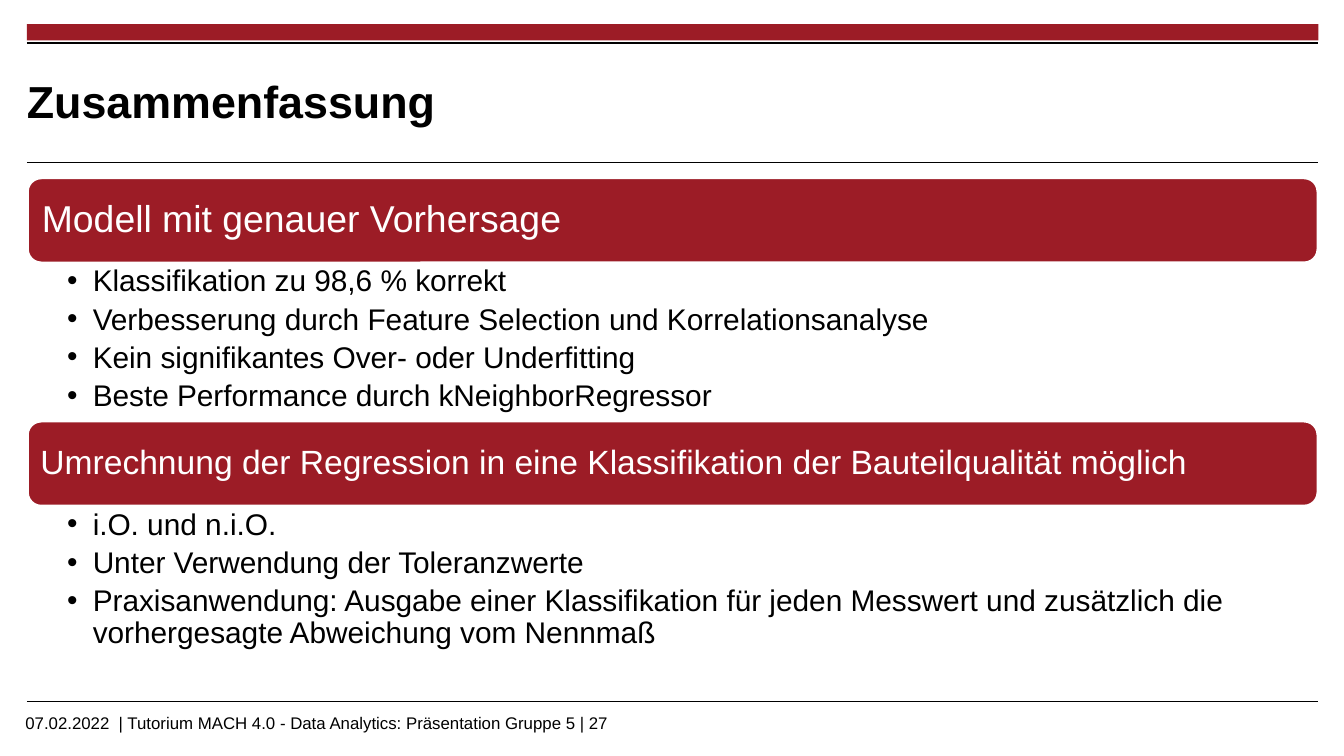
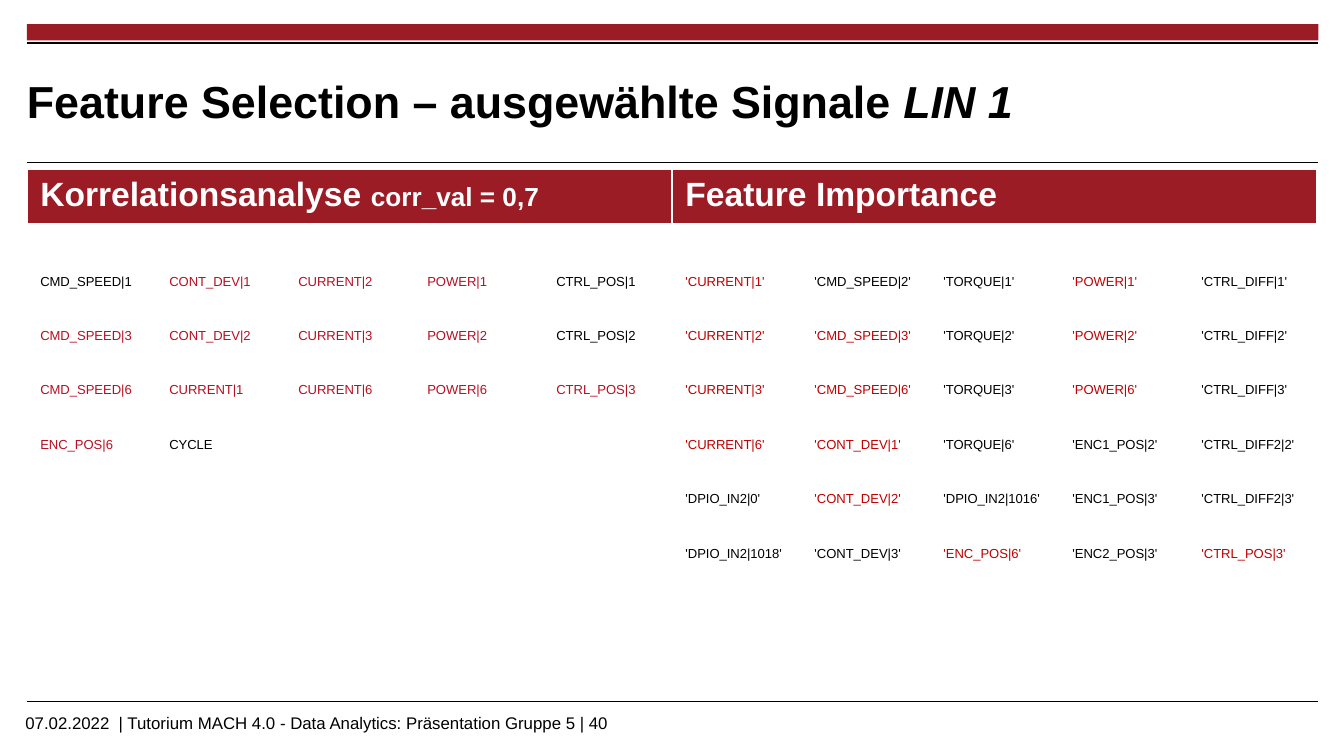
from lxml import etree
from pptx import Presentation
from pptx.dml.color import RGBColor
from pptx.enum.shapes import MSO_CONNECTOR, MSO_SHAPE
from pptx.enum.text import MSO_ANCHOR, MSO_AUTO_SIZE, PP_ALIGN
from pptx.oxml.ns import qn
from pptx.util import Inches, Pt

STRAIGHT = MSO_CONNECTOR.STRAIGHT
RECT, ROUNDED = MSO_SHAPE.RECTANGLE, MSO_SHAPE.ROUNDED_RECTANGLE
MIDDLE, TOP = MSO_ANCHOR.MIDDLE, MSO_ANCHOR.TOP
LEFT_ALIGN = PP_ALIGN.LEFT
NO_AUTOFIT = MSO_AUTO_SIZE.NONE

# Content
FOOTER = "07.02.2022  | Tutorium MACH 4.0 - Data Analytics: Präsentation Gruppe 5 | {}"

# heading, heading size, heading inset, points
SUMMARY = [
    ("Modell mit genauer Vorhersage", 20, 0.08, [
        "Klassifikation zu 98,6 % korrekt",
        "Verbesserung durch Feature Selection und Korrelationsanalyse",
        "Kein signifikantes Over- oder Underfitting",
        "Beste Performance durch kNeighborRegressor",
    ]),
    ("Umrechnung der Regression in eine Klassifikation der Bauteilqualität möglich", 18, 0.07, [
        "i.O. und n.i.O.",
        "Unter Verwendung der Toleranzwerte",
        "Praxisanwendung: Ausgabe einer Klassifikation für jeden Messwert und "
        "zusätzlich die vorhergesagte Abweichung vom Nennmaß",
    ]),
]

# header parts as (text, size)
METHODS = [
    [("Korrelationsanalyse ", 18), ("corr_val = 0,7", 14)],
    [("Feature Importance", 18)],
]
CORRELATED = [
    ["CMD_SPEED|1", "CONT_DEV|1", "CURRENT|2", "POWER|1", "CTRL_POS|1"],
    ["CMD_SPEED|3", "CONT_DEV|2", "CURRENT|3", "POWER|2", "CTRL_POS|2"],
    ["CMD_SPEED|6", "CURRENT|1", "CURRENT|6", "POWER|6", "CTRL_POS|3"],
    ["ENC_POS|6", "CYCLE"],
]
IMPORTANT = [
    ["CURRENT|1", "CMD_SPEED|2", "TORQUE|1", "POWER|1", "CTRL_DIFF|1"],
    ["CURRENT|2", "CMD_SPEED|3", "TORQUE|2", "POWER|2", "CTRL_DIFF|2"],
    ["CURRENT|3", "CMD_SPEED|6", "TORQUE|3", "POWER|6", "CTRL_DIFF|3"],
    ["CURRENT|6", "CONT_DEV|1", "TORQUE|6", "ENC1_POS|2", "CTRL_DIFF2|2"],
    ["DPIO_IN2|0", "CONT_DEV|2", "DPIO_IN2|1016", "ENC1_POS|3", "CTRL_DIFF2|3"],
    ["DPIO_IN2|1018", "CONT_DEV|3", "ENC_POS|6", "ENC2_POS|3", "CTRL_POS|3"],
]

# Shared look
FONT = "Arial"
BLACK, WHITE, BAND = "000000", "FFFFFF", "9C1C26"
LEFT, WIDTH = 0.2, 9.61
RULES = [(0.32, 1.2), (1.21, 0.6), (5.22, 0.6)]  # y, line width
HEADING_H, POINTS_H = 0.64, 1.18
SUMMARY_TOP, SUMMARY_STEP = 1.32, 1.81
METHOD_W, SIGNAL_ROWS, SIGNAL_COLS = 4.8, 6, 5


def color(hex_value):
    return RGBColor.from_string(hex_value)


def set_font(font, size, hex_value=BLACK, bold=False):
    font.name, font.size, font.bold = FONT, Pt(size), bold
    font.color.rgb = color(hex_value)


def set_frame(frame, insets, anchor):
    frame.word_wrap = True
    frame.auto_size = NO_AUTOFIT
    frame.vertical_anchor = anchor
    (frame.margin_left, frame.margin_top,
     frame.margin_right, frame.margin_bottom) = map(Inches, insets)


def place(shape, x, y, w, h):
    shape.left, shape.top, shape.width, shape.height = map(Inches, (x, y, w, h))


def add_band(slide, kind, y, h):
    band = slide.shapes.add_shape(kind, *map(Inches, (LEFT, y, WIDTH, h)))
    band.shadow.inherit = False
    band.fill.solid()
    band.fill.fore_color.rgb = color(BAND)
    band.line.fill.background()
    return band


def add_slide(prs, layout, title_parts, number):
    """Slide with band, rules, title and footer; title parts are (text, italic)."""
    slide = prs.slides.add_slide(prs.slide_layouts[layout])
    add_band(slide, RECT, 0.18, 0.12)
    for y, weight in RULES:
        rule = slide.shapes.add_connector(
            STRAIGHT, *map(Inches, (LEFT, y, LEFT + WIDTH, y)))
        rule.line.color.rgb = color(BLACK)
        rule.line.width = Pt(weight)
        etree.SubElement(rule.element.spPr, qn("a:effectLst"))

    title = slide.shapes.title
    place(title, LEFT, 0.4, 7.46, 0.69)
    set_frame(title.text_frame, (0, 0, 0, 0), MIDDLE)
    heading = title.text_frame.paragraphs[0]
    heading.alignment = LEFT_ALIGN
    set_font(heading.font, 24, bold=True)
    for text, italic in title_parts:
        run = heading.add_run()
        run.text = text
        if italic:
            run.font.italic = True

    footer = slide.shapes.add_textbox(*map(Inches, (0.09, 5.25, 7.95, 0.19))).text_frame
    set_frame(footer, (0.1, 0.05, 0.1, 0.05), TOP)
    footer.text = FOOTER.format(number)
    set_font(footer.paragraphs[0].font, 9)
    return slide


def add_heading(slide, y, text, size, inset):
    heading = add_band(slide, ROUNDED, y, HEADING_H)
    heading.line.color.rgb = color(WHITE)
    heading.line.width = Pt(2)
    set_frame(heading.text_frame, [inset] * 4, MIDDLE)
    heading.text_frame.text = text
    paragraph = heading.text_frame.paragraphs[0]
    paragraph.alignment = LEFT_ALIGN
    paragraph.line_spacing = 0.9
    set_font(paragraph.font, size, WHITE)


def fill_points(body, y, points):
    place(body, LEFT, y, WIDTH, POINTS_H)
    set_frame(body.text_frame, (0.3, 0.02, 0.12, 0.02), TOP)
    body.text_frame.text = "\n".join(points)
    for paragraph in body.text_frame.paragraphs:
        paragraph.line_spacing = 0.9
        paragraph.space_before, paragraph.space_after = Pt(0), Pt(3.2)
        set_font(paragraph.font, 16)
        properties = paragraph._p.get_or_add_pPr()
        properties.set("marL", str(Inches(0.19)))
        properties.set("indent", str(-Inches(0.19)))


def style_cell(cell, fill, bottom=1):
    """White cell borders in points, then the fill."""
    properties = cell._tc.get_or_add_tcPr()
    for side, weight in (("L", 1), ("R", 1), ("T", 1), ("B", bottom)):
        border = etree.SubElement(properties, qn(f"a:ln{side}"), w=str(Pt(weight)))
        solid = etree.SubElement(border, qn("a:solidFill"))
        etree.SubElement(solid, qn("a:srgbClr"), val=WHITE)
    cell.fill.solid()
    cell.fill.fore_color.rgb = color(fill)


def add_table(slide, x, y, col_widths, row_heights):
    table = slide.shapes.add_table(
        len(row_heights), len(col_widths),
        *map(Inches, (x, y, sum(col_widths), sum(row_heights)))).table
    table.first_row = table.horz_banding = False
    for column, width in zip(table.columns, col_widths):
        column.width = Inches(width)
    for row, height in zip(table.rows, row_heights):
        row.height = Inches(height)
    return table


def add_cell_text(cell, text, size, hex_value, bold=False):
    run = cell.text_frame.paragraphs[0].add_run()
    run.text = text
    set_font(run.font, size, hex_value, bold)


def add_signals(slide, x, signals, shared, highlight, quote=""):
    """Grid of signals; those chosen by both methods are highlighted."""
    table = add_table(slide, x, 1.99, [METHOD_W / SIGNAL_COLS] * SIGNAL_COLS,
                      [2.43 / SIGNAL_ROWS] * SIGNAL_ROWS)
    for r in range(SIGNAL_ROWS):
        for c in range(SIGNAL_COLS):
            style_cell(table.cell(r, c), WHITE, bottom=1 if r else 3)
    for r, names in enumerate(signals):
        for c, name in enumerate(names):
            add_cell_text(table.cell(r, c), f"{quote}{name}{quote}", 7,
                          highlight if name in shared else BLACK)


def build_summary(prs):
    slide = add_slide(prs, 3, [("Zusammenfassung", False)], 27)
    bodies = list(slide.placeholders)[1:]
    for i, (heading, size, inset, points) in enumerate(SUMMARY):
        y = SUMMARY_TOP + i * SUMMARY_STEP
        add_heading(slide, y, heading, size, inset)
        fill_points(bodies[i], y + HEADING_H, points)


def build_selection(prs):
    slide = add_slide(prs, 5, [("Feature Selection – ausgewählte Signale ", False),
                               ("LIN 1", True)], 40)
    methods = add_table(slide, LEFT, 1.26, [METHOD_W] * 2, [0.42, 3.46])
    for c, parts in enumerate(METHODS):
        style_cell(methods.cell(0, c), BAND, bottom=3)
        style_cell(methods.cell(1, c), WHITE)
        for text, size in parts:
            add_cell_text(methods.cell(0, c), text, size, WHITE, bold=True)

    shared = set(sum(CORRELATED, [])) & set(sum(IMPORTANT, []))
    add_signals(slide, LEFT, CORRELATED, shared, "B90F22")
    add_signals(slide, LEFT + METHOD_W, IMPORTANT, shared, "C00000", quote="'")


def main():
    prs = Presentation()
    prs.slide_width = Inches(10)
    prs.slide_height = prs.slide_width * 9 // 16
    build_summary(prs)
    build_selection(prs)
    prs.save("out.pptx")


if __name__ == "__main__":
    main()
